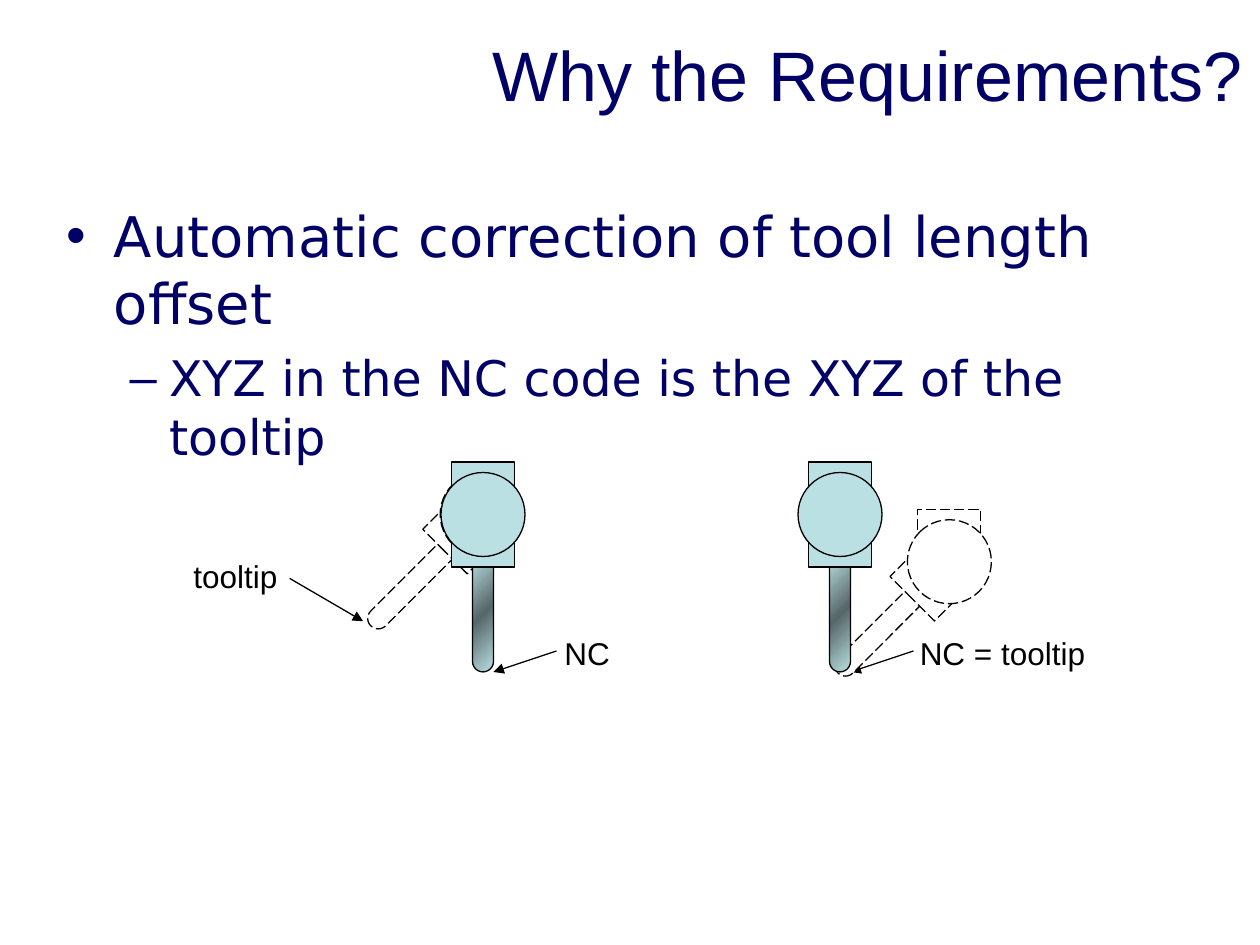
from math import cos, radians, sin

from lxml.etree import SubElement
from pptx import Presentation
from pptx.dml.color import RGBColor
from pptx.enum.dml import MSO_LINE
from pptx.enum.shapes import MSO_CONNECTOR, MSO_SHAPE
from pptx.enum.text import MSO_ANCHOR, MSO_AUTO_SIZE, PP_ALIGN
from pptx.oxml.ns import qn
from pptx.util import Pt

THEME = {
    "text": "000066", "ink": "000000", "paper": "FFFFFF",
    "metal": "BBE0E3", "shade": "566768",
    "font": "Arial", "body_font": "DejaVu Sans",
    "title_size": 40, "body_sizes": (32, 28), "label_size": 18, "line": 0.75,
}

TITLE = "Why the Requirements?"
# level, bullet, left margin, hanging indent, space before, text
POINTS = [
    (0, "•", 27, 27, 0, "Automatic correction of tool length offset"),
    (1, "–", 58.5, 22.5, 7, "XYZ in the NC code is the XYZ of the tooltip"),
]
# text, left, top, width
LABELS = [
    ("NC", 315.5, 358.5, 102),
    ("tooltip", 103.5, 314.5, 72),
    ("NC = tooltip", 518.5, 358.5, 144),
]
# start, end
ARROWS = [
    ((318, 372), (282, 384)),
    ((522, 372), (486, 384)),
    ((165.5, 330.5), (207.5, 355)),
]
# pivot, tilt of the tool, solid or dashed, upper block shown
HEADS = [
    ((275.5, 294), 45, False, False),
    ((276, 294), 0, True, True),
    ((542.5, 321), 45, False, True),
    ((480, 294), 0, True, True),
]
TOOL, BLOCK, JOINT = (12, 66), (36, 18), (48, 48)
TOOL_REACH, BLOCK_REACH = 57, 21


def color(name):
    return RGBColor.from_string(THEME[name])


def add_bullet(para, character, margin, hanging):
    properties = para._p.get_or_add_pPr()
    properties.set("marL", str(Pt(margin)))
    properties.set("indent", str(-Pt(hanging)))
    bullet_color = SubElement(properties, qn("a:buClr"))
    SubElement(bullet_color, qn("a:srgbClr"), val=THEME["text"])
    SubElement(properties, qn("a:buFont"), typeface=THEME["font"])
    SubElement(properties, qn("a:buChar"), char=character)


def write(para, text, size, font=THEME["font"], ink="text",
          align=PP_ALIGN.LEFT, before=0):
    para.alignment = align
    para.space_before = Pt(before)
    span = para.add_run()
    span.text = text
    span.font.name = font
    span.font.size = Pt(size)
    span.font.color.rgb = color(ink)


def add_box(page, left, top, width, height, anchor=MSO_ANCHOR.TOP):
    box = page.shapes.add_textbox(Pt(left), Pt(top), Pt(width), Pt(height))
    box.text_frame.word_wrap = True
    box.text_frame.vertical_anchor = anchor
    return box.text_frame


def add_arrow(page, start, end):
    arrow = page.shapes.add_connector(
        MSO_CONNECTOR.STRAIGHT, *map(Pt, start + end))
    arrow.line.color.rgb = color("ink")
    arrow.line.width = Pt(THEME["line"])
    SubElement(arrow.line._get_or_add_ln(), qn("a:tailEnd"), type="triangle")
    SubElement(arrow._element.spPr, qn("a:effectLst"))


def shade_tool(shape):
    """Fill diagonally from metal through a dark middle back to metal."""
    shape.fill.gradient()
    shape.fill.gradient_angle = 315
    stops = shape._element.spPr.find(qn("a:gradFill")).find(qn("a:gsLst"))
    for stop in list(stops):
        stops.remove(stop)
    for position, name in ((0, "metal"), (50000, "shade"), (100000, "metal")):
        stop = SubElement(stops, qn("a:gs"), pos=str(position))
        SubElement(stop, qn("a:srgbClr"), val=THEME[name])


def add_part(page, kind, pivot, size, reach, tilt, solid):
    """Place a part at a distance from the pivot, along the tilted axis."""
    width, height = size
    x = pivot[0] - reach * sin(radians(tilt))
    y = pivot[1] + reach * cos(radians(tilt))
    part = page.shapes.add_shape(
        kind, Pt(x - width / 2), Pt(y - height / 2), Pt(width), Pt(height))
    part.rotation = tilt
    part.shadow.inherit = False
    part.fill.solid()
    part.fill.fore_color.rgb = color("metal" if solid else "paper")
    part.line.color.rgb = color("ink")
    part.line.width = Pt(THEME["line"])
    if not solid:
        part.line.dash_style = MSO_LINE.LONG_DASH
    return part


def add_head(page, pivot, tilt, solid, upper_block):
    tool = add_part(page, MSO_SHAPE.ROUNDED_RECTANGLE, pivot, TOOL,
                    TOOL_REACH, tilt, solid)
    tool.adjustments[0] = 0.5
    if solid:
        shade_tool(tool)
    add_part(page, MSO_SHAPE.RECTANGLE, pivot, BLOCK, BLOCK_REACH, tilt, solid)
    if upper_block:
        add_part(page, MSO_SHAPE.RECTANGLE, pivot, BLOCK, -BLOCK_REACH, 0, solid)
    add_part(page, MSO_SHAPE.OVAL, pivot, JOINT, 0, tilt, solid)


def main():
    deck = Presentation()
    deck.slide_width, deck.slide_height = Pt(720), Pt(540)
    page = deck.slides.add_slide(deck.slide_layouts[6])

    title = add_box(page, 42.5, 2, 674.5, 80.5, MSO_ANCHOR.MIDDLE)
    write(title.paragraphs[0], TITLE, THEME["title_size"], align=PP_ALIGN.RIGHT)

    body = add_box(page, 31, 111.5, 648, 356.5)
    for index, (level, bullet, margin, hanging, before, text) in enumerate(POINTS):
        para = body.add_paragraph() if index else body.paragraphs[0]
        para.level = level
        add_bullet(para, bullet, margin, hanging)
        write(para, text, THEME["body_sizes"][level],
              font=THEME["body_font"], before=before)

    for start, end in ARROWS:
        add_arrow(page, start, end)
    for head in HEADS:
        add_head(page, *head)
    for text, left, top, width in LABELS:
        label = add_box(page, left, top, width, 29)
        label.auto_size = MSO_AUTO_SIZE.SHAPE_TO_FIT_TEXT
        write(label.paragraphs[0], text, THEME["label_size"], ink="ink")

    deck.save("out.pptx")


if __name__ == "__main__":
    main()
